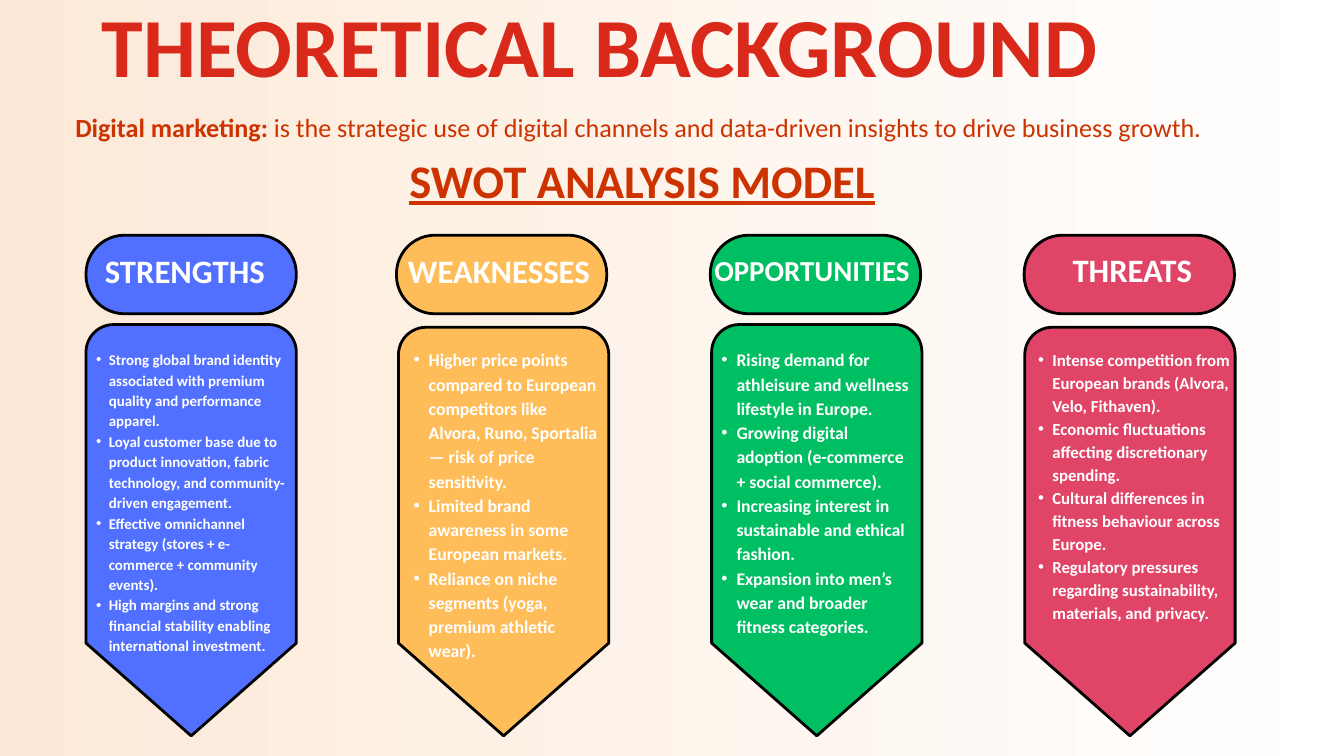
from math import cos, pi, sin

from lxml.etree import SubElement
from pptx import Presentation
from pptx.dml.color import RGBColor
from pptx.enum.shapes import MSO_SHAPE
from pptx.enum.text import MSO_AUTO_SIZE, PP_ALIGN
from pptx.oxml.ns import qn
from pptx.util import Inches, Pt

FONT = "Calibri"
COLORS = {
    "peach": "FCE9D8", "white": "FFFFFF", "black": "000000",
    "red": "D9291A", "rust": "CC3300",
    "blue": "5170FF", "amber": "FFBD59", "green": "00BF63", "rose": "E04567",
}
WIDTH = 3.13
PILL_TOP, PILL_HEIGHT = 3.5, 1.17
SIDE_END, TIP = 9.57, 10.95

# color, pill left, banner left and top,
# heading: (text, box, size, spacing), list: (box, size, spacing, indent, items)
COLUMNS = [
    ("blue", 1.28, 1.28, 4.83,
     ("STRENGTHS", (1.56, 3.65, 2.51, 0.71), 35, 47.9),
     ((1.24, 5.18, 3.1, 4.85), 16, 21.9, 0.38, [
         "Strong global brand identity associated with premium quality and performance apparel.",
         "Loyal customer base due to product innovation, fabric technology, and community-driven engagement.",
         "Effective omnichannel strategy (stores + e-commerce + community events).",
         "High margins and strong financial stability enabling international investment.",
     ])),
    ("amber", 5.9, 5.93, 4.87,
     ("WEAKNESSES", (6.07, 3.65, 2.85, 0.71), 35, 48),
     ((5.93, 5.15, 2.99, 5), 19, 26, 0.45, [
         "Higher price points compared to European competitors like "
         "Alvora, Runo, Sportalia — risk of price sensitivity.",
         "Limited brand awareness in some European markets.",
         "Reliance on niche segments (yoga, premium athletic wear).",
     ])),
    ("green", 10.57, 10.59, 4.83,
     ("OPPORTUNITIES", (10.63, 3.68, 3.31, 0.64), 31, 42.5),
     ((10.51, 5.15, 3.08, 4.64), 19, 26, 0.45, [
         "Rising demand for athleisure and wellness lifestyle in Europe.",
         "Growing digital adoption (e-commerce + social commerce).",
         "Increasing interest in sustainable and ethical fashion.",
         "Expansion into men’s wear and broader fitness categories.",
     ])),
    ("rose", 15.24, 15.25, 4.87,
     ("THREATS", (15.96, 3.63, 2.85, 0.71), 35, 48),
     ((15.24, 5.16, 3.07, 4.7), 18, 24.7, 0.42, [
         "Intense competition from European brands (Alvora, Velo, Fithaven).",
         "Economic fluctuations affecting discretionary spending.",
         "Cultural differences in fitness behaviour across Europe.",
         "Regulatory pressures regarding sustainability, materials, and privacy.",
     ])),
]


def color(name):
    return RGBColor.from_string(COLORS[name])


def paint(shape, fill):
    shape.shadow.inherit = False
    shape.fill.solid()
    shape.fill.fore_color.rgb = color(fill)
    shape.line.color.rgb = color("black")
    shape.line.width = Pt(3)


def add_pill(slide, left, fill):
    pill = slide.shapes.add_shape(
        MSO_SHAPE.ROUNDED_RECTANGLE, Inches(left), Inches(PILL_TOP),
        Inches(WIDTH), Inches(PILL_HEIGHT))
    pill.adjustments[0] = 0.49
    paint(pill, fill)


def add_banner(slide, left, top, fill):
    """Draw a panel with rounded top corners and a point at the bottom."""
    radius, steps = 0.41, 12
    right = left + WIDTH
    points = [(right, SIDE_END), (left + WIDTH / 2, TIP), (left, SIDE_END)]
    for center, start in ((left + radius, pi), (right - radius, pi / 2)):
        for step in range(steps + 1):
            angle = start - step * pi / 2 / steps
            points.append((center + radius * cos(angle),
                           top + radius - radius * sin(angle)))
    points = [(Inches(x), Inches(y)) for x, y in points]
    outline = slide.shapes.build_freeform(*points[0])
    outline.add_line_segments(points[1:], close=True)
    paint(outline.convert_to_shape(), fill)


def add_box(slide, box):
    frame = slide.shapes.add_textbox(*map(Inches, box)).text_frame
    frame.margin_left = frame.margin_right = 0
    frame.margin_top = frame.margin_bottom = 0
    frame.word_wrap = True
    frame.auto_size = MSO_AUTO_SIZE.SHAPE_TO_FIT_TEXT
    return frame


def style(para, size, spacing, ink):
    para.line_spacing = Pt(spacing)
    for run in para.runs:
        run.font.name = FONT
        run.font.size = Pt(size)
        run.font.bold = True
        run.font.color.rgb = color(ink)


def add_line(slide, text, box, size, spacing, ink="white"):
    para = add_box(slide, box).paragraphs[0]
    para.text = text
    style(para, size, spacing, ink)
    return para


def add_bullet(para, indent):
    para.level = 1
    props = para._p.get_or_add_pPr()
    props.set("marL", str(Inches(indent)))
    props.set("indent", str(-Inches(indent / 2)))
    SubElement(props, qn("a:buFont")).set("typeface", "Arial")
    SubElement(props, qn("a:buChar")).set("char", "•")


def add_list(slide, box, size, spacing, indent, items):
    frame = add_box(slide, box)
    frame.text = "\n".join(items)
    for para in frame.paragraphs:
        add_bullet(para, indent)
        style(para, size, spacing, "white")


def add_intro(slide):
    title = add_line(slide, "THEORETICAL BACKGROUND",
                     (0.61, 0.36, 16.63, 1.35), 90, 74.7, "red")
    title.alignment = PP_ALIGN.CENTER

    term = add_line(slide, "Digital marketing: ",
                    (1.12, 1.59, 17.19, 0.59), 28, 38.4, "rust")
    term.add_run().text = ("is the strategic use of digital channels and "
                           "data-driven insights to drive business growth.")
    style(term, 28, 38.4, "rust")
    term.runs[1].font.bold = False

    model = add_line(slide, "SWOT ANALYSIS MODEL",
                     (6.09, 2.14, 7.81, 1.04), 50, 68.5, "rust")
    model.runs[0].font.underline = True


def set_background(slide):
    fill = slide.background.fill
    fill.gradient()
    fill.gradient_angle = 0
    for stop, name in zip(fill.gradient_stops, ("peach", "white")):
        stop.color.rgb = color(name)


def main():
    deck = Presentation()
    deck.slide_width, deck.slide_height = Inches(20), Inches(11.25)
    slide = deck.slides.add_slide(deck.slide_layouts[6])
    set_background(slide)
    add_intro(slide)
    for fill, pill_left, left, top, heading, points in COLUMNS:
        add_banner(slide, left, top, fill)
        add_pill(slide, pill_left, fill)
        add_line(slide, *heading)
        add_list(slide, *points)
    deck.save("out.pptx")


if __name__ == "__main__":
    main()
